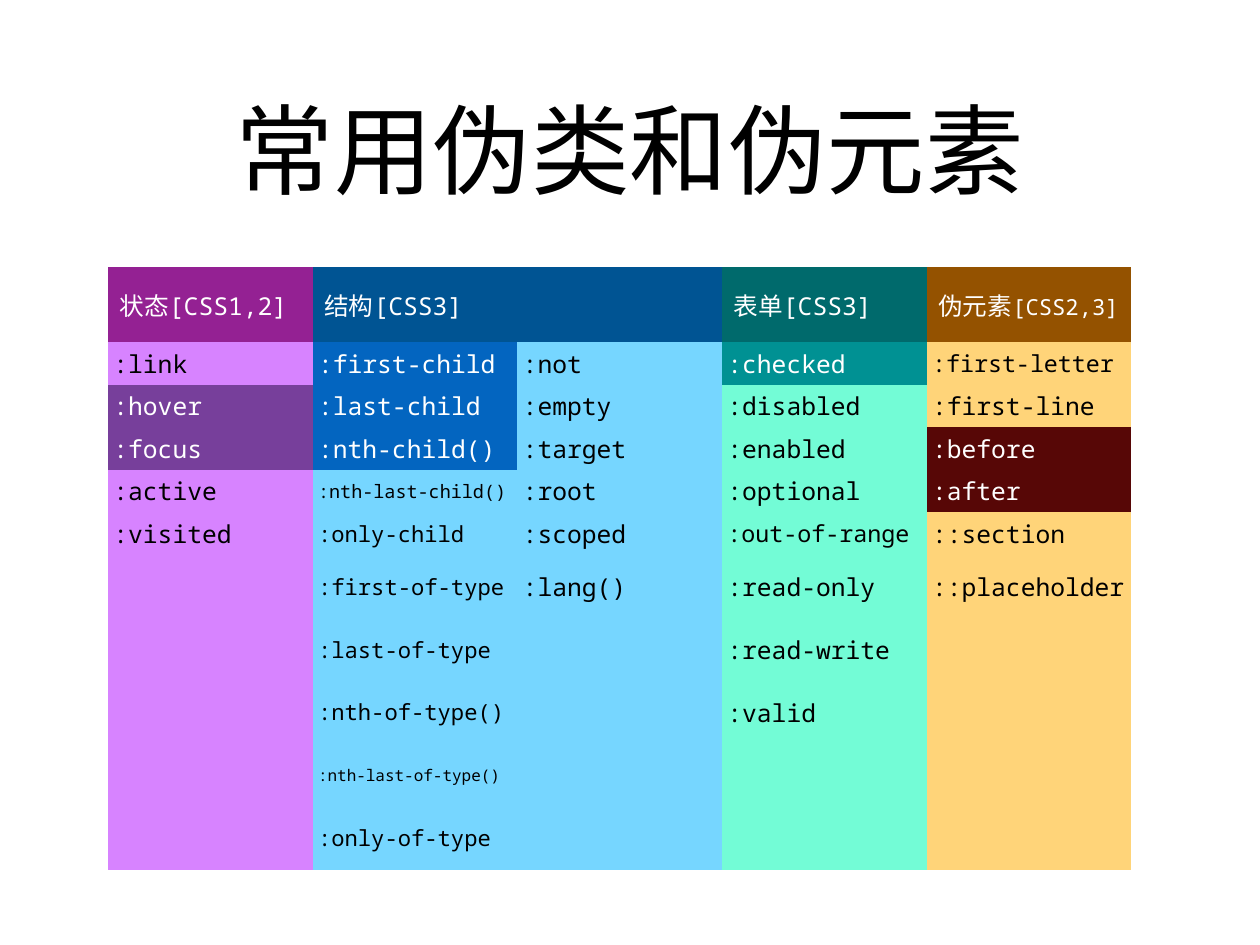
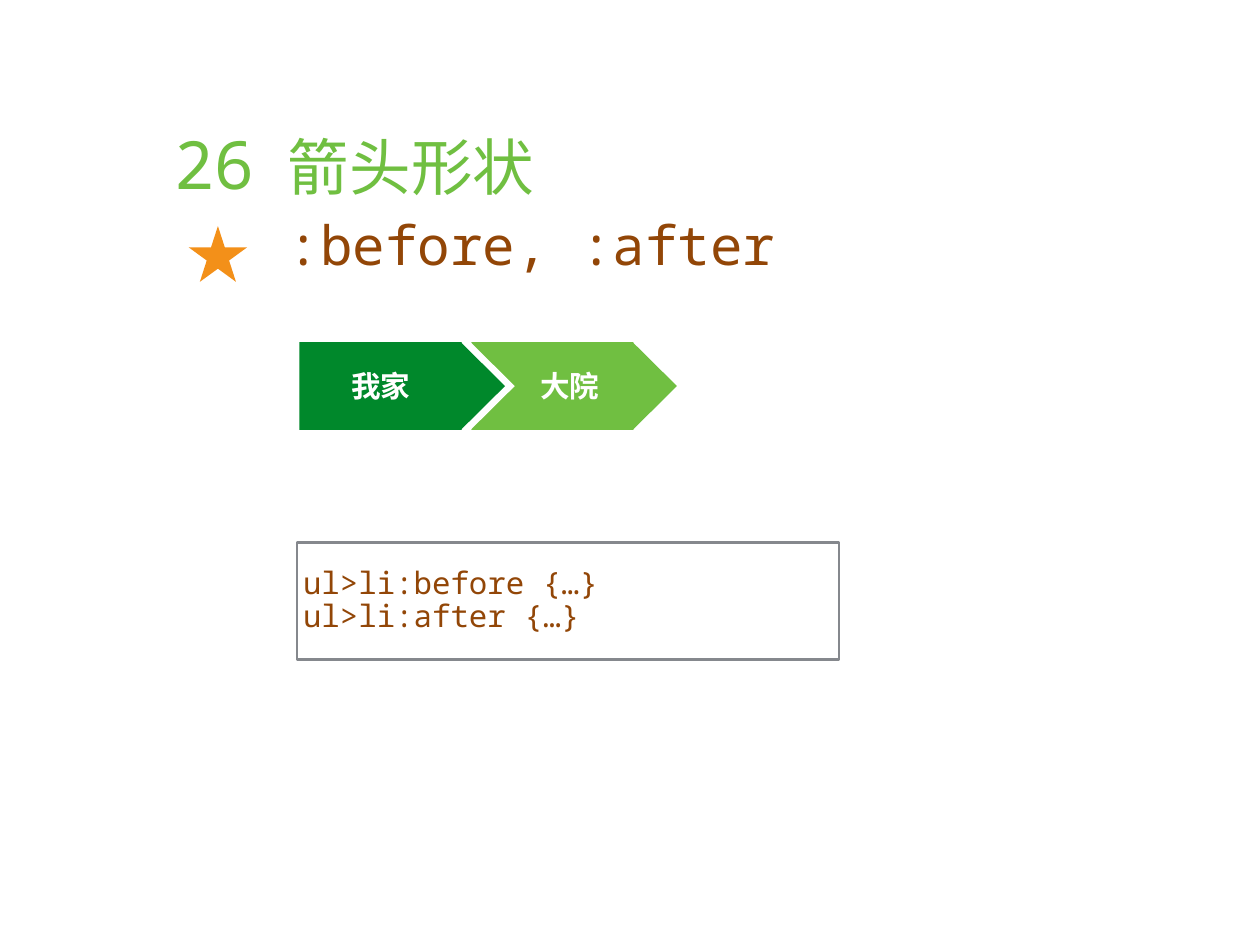
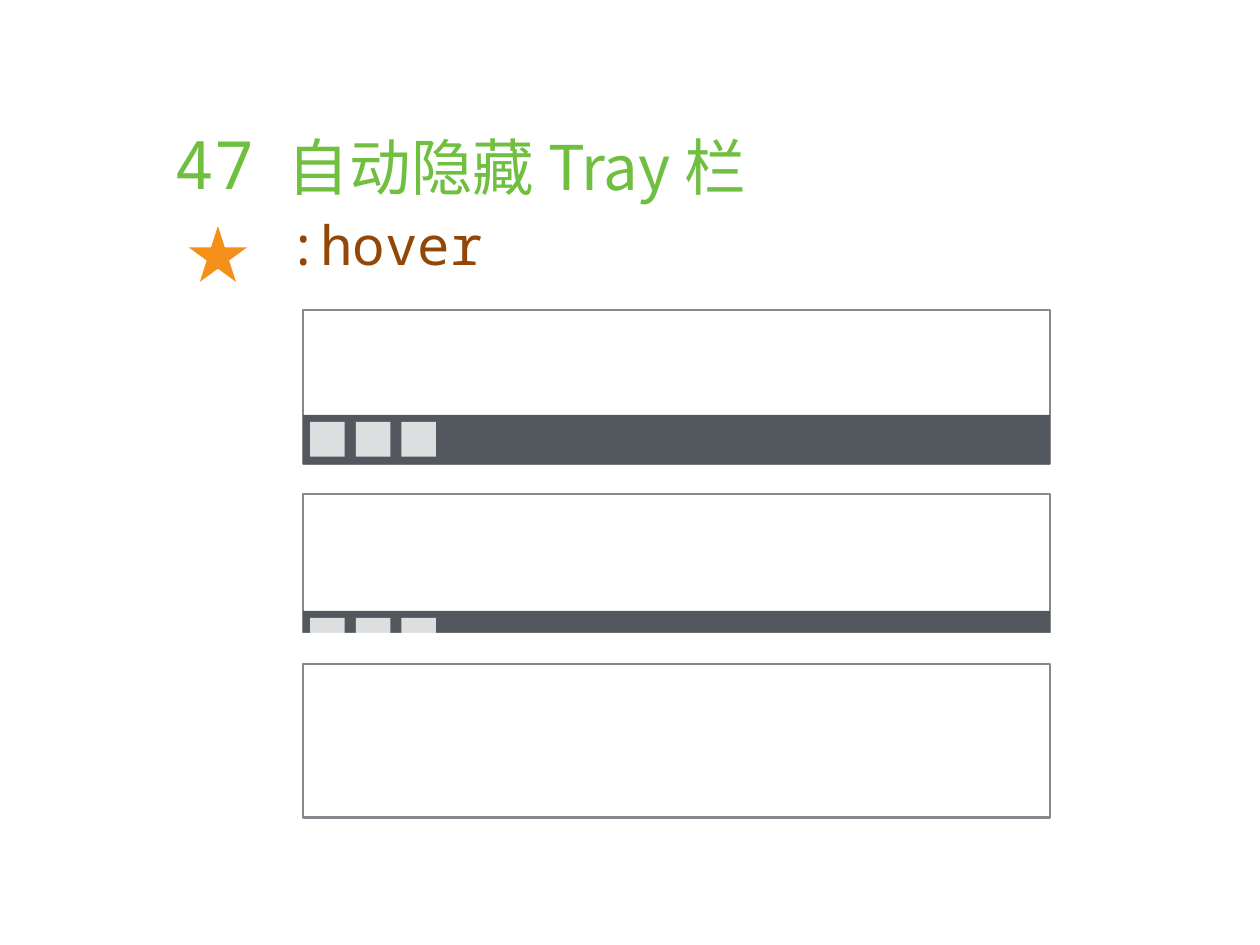
import dataclasses
import typing

import lxml.etree
import pptx
import pptx.dml.color
import pptx.enum.shapes
import pptx.enum.text
import pptx.oxml.ns
import pptx.util

Inches = pptx.util.Inches
Pt = pptx.util.Pt
ShapeKind = pptx.enum.shapes.MSO_SHAPE
Align = pptx.enum.text.PP_ALIGN
Anchor = pptx.enum.text.MSO_ANCHOR

# Shared look
MONO = "Noto Sans Mono"
CJK = "Noto Sans CJK SC"
WHITE, BLACK = "FFFFFF", "000000"
GREEN, DARK_GREEN, BROWN, ORANGE = "70BF41", "00882B", "924607", "F39019"
FRAME_LINE, DOCK_FILL, ICON_FILL = "85888D", "53585F", "DCDEE0"
PLAIN_TABLE_STYLE = "{2D5ABB26-0587-4C30-8999-92F81FD0307C}"


@dataclasses.dataclass
class Span:
    text: str
    size: float
    color: str
    font: str = MONO
    bold: bool = False


@dataclasses.dataclass
class Place:
    left: float
    top: float
    width: float
    height: float

    def lengths(self) -> list:
        return [Inches(value) for value in dataclasses.astuple(self)]


@dataclasses.dataclass
class Column:
    header: list[Span]
    header_fill: str
    body_fill: str
    selectors: list[str]
    strong_fill: str = ""
    strong: tuple[str, ...] = ()


@dataclasses.dataclass
class Step:
    left: float
    label: str
    fill: str
    left_inset: float


# Helpers
def rgb(color: str) -> pptx.dml.color.RGBColor:
    return pptx.dml.color.RGBColor.from_string(color)


def set_values(target: typing.Any, values: dict[str, typing.Any]) -> None:
    for name, value in values.items():
        setattr(target, name, value)


def margins(side: float, vertical: float) -> dict[str, typing.Any]:
    return {"margin_left": Inches(side), "margin_right": Inches(side),
            "margin_top": Inches(vertical), "margin_bottom": Inches(vertical)}


def write(frame: typing.Any, paragraphs: list[list[Span]],
          align: Align = Align.LEFT, spacing: float = 1.0) -> None:
    for index, spans in enumerate(paragraphs):
        para = frame.add_paragraph() if index else frame.paragraphs[0]
        set_values(para, {"alignment": align, "line_spacing": spacing})
        for span in spans:
            run = para.add_run()
            run.text = span.text
            set_values(run.font, {"name": span.font, "size": Pt(span.size), "bold": span.bold})
            run.font.color.rgb = rgb(span.color)
            # East Asian glyphs take their own typeface
            east_asian = lxml.etree.SubElement(
                run.font._element, pptx.oxml.ns.qn("a:ea"))
            east_asian.set("typeface", CJK)


def paint(shape: typing.Any, fill: str = "", line: str = "") -> None:
    shape.shadow.inherit = False
    if fill:
        shape.fill.solid()
        shape.fill.fore_color.rgb = rgb(fill)
    else:
        shape.fill.background()
    if line:
        shape.line.color.rgb = rgb(line)
        shape.line.width = Pt(2)
    else:
        shape.line.fill.background()


def add_box(page: typing.Any, place: Place, fill: str = "", line: str = "",
            kind: ShapeKind = ShapeKind.RECTANGLE) -> typing.Any:
    box = page.shapes.add_shape(kind, *place.lengths())
    paint(box, fill, line)
    return box


def add_plain_table(page: typing.Any, place: Place, widths: list[float],
                    heights: list[float]) -> typing.Any:
    frame = page.shapes.add_table(len(heights), len(widths), *place.lengths())
    table = frame.table
    set_values(table, {"first_row": False, "horz_banding": False})
    style = frame._element.find(".//" + pptx.oxml.ns.qn("a:tableStyleId"))
    style.text = PLAIN_TABLE_STYLE
    for column, width in zip(table.columns, widths):
        column.width = Inches(width)
    for row, height in zip(table.rows, heights):
        row.height = Inches(height)
    return table


def fill_cell(cell: typing.Any, color: str) -> None:
    cell.fill.solid()
    cell.fill.fore_color.rgb = rgb(color)


# Slide 1: selector overview
def header(text: str, note: str = "") -> list[Span]:
    spans = [Span(text, 20, WHITE)]
    if note:
        spans.append(Span(note, 18, WHITE))
    return spans


SKY = "76D6FF"
COLUMNS = [
    Column(header("状态[CSS1,2]"), "942193", "D783FF",
           [":link", ":hover", ":focus", ":active", ":visited"],
           "773F9B", (":hover", ":focus")),
    Column(header("结构[CSS3]"), "005493", SKY,
           [":first-child", ":last-child", ":nth-child()", ":nth-last-child()",
            ":only-child", ":first-of-type", ":last-of-type", ":nth-of-type()",
            ":nth-last-of-type()", ":only-of-type"],
           "0365C0", (":first-child", ":last-child", ":nth-child()")),
    Column([], "005493", SKY,
           [":not", ":empty", ":target", ":root", ":scoped", ":lang()"]),
    Column(header("表单[CSS3]"), "006A6C", "73FCD6",
           [":checked", ":disabled", ":enabled", ":optional", ":out-of-range",
            ":read-only", ":read-write", ":valid"],
           "009193", (":checked",)),
    Column(header("伪元素", "[CSS2,3]"), "945200", "FFD479",
           [":first-letter", ":first-line", ":before", ":after", "::section",
            "::placeholder"],
           "570706", (":before", ":after")),
]
SMALLER_SIZES = {
    ":first-letter": 19, ":out-of-range": 19, ":only-child": 18,
    ":first-of-type": 18, ":last-of-type": 18, ":nth-of-type()": 18,
    ":only-of-type": 18, ":nth-last-child()": 15, ":nth-last-of-type()": 13,
}
ROW_HEIGHTS = [0.85] + [0.44] * 5 + [0.71] * 5


def build_overview(deck: typing.Any) -> None:
    page = deck.slides.add_slide(deck.slide_layouts[5])
    title = page.shapes.title
    left, top, width, height = Place(1.04, 0.49, 12.14, 2.36).lengths()
    set_values(title, {"left": left, "top": top, "width": width, "height": height})
    set_values(title.text_frame, {
        **margins(0.06, 0.06), "word_wrap": True, "vertical_anchor": Anchor.MIDDLE,
        "auto_size": pptx.enum.text.MSO_AUTO_SIZE.NONE})
    write(title.text_frame, [[Span("常用伪类和伪元素", 80, BLACK, CJK)]], Align.CENTER)

    table = add_plain_table(page, Place(1.22, 3.01, 11.57, 6.55),
                            [2.31] * len(COLUMNS), ROW_HEIGHTS)
    for column_index, column in enumerate(COLUMNS):
        head = table.cell(0, column_index)
        fill_cell(head, column.header_fill)
        if column.header:
            set_values(head, {**margins(0.13, 0.05), "vertical_anchor": Anchor.MIDDLE})
            write(head.text_frame, [column.header])
        for row_index in range(1, len(ROW_HEIGHTS)):
            cell = table.cell(row_index, column_index)
            selector = "".join(column.selectors[row_index - 1:row_index])
            strong = selector in column.strong
            fill_cell(cell, column.strong_fill if strong else column.body_fill)
            if selector:
                set_values(cell, {**margins(0.06, 0.05), "vertical_anchor": Anchor.MIDDLE})
                size = SMALLER_SIZES.get(selector, 20)
                write(cell.text_frame, [[Span(selector, size, WHITE if strong else BLACK)]])
    # The structure heading spans two columns
    table.cell(0, 1).merge(table.cell(0, 2))


# Slides 2 and 3: numbered examples
def add_example_page(deck: typing.Any, number: str, heading: str, selectors: str) -> typing.Any:
    page = deck.slides.add_slide(deck.slide_layouts[6])
    table = add_plain_table(page, Place(1.29, 1.29, 11.65, 8.08), [1.77, 9.88], [8.08])
    number_cell, heading_cell = table.cell(0, 0), table.cell(0, 1)
    for cell in (number_cell, heading_cell):
        set_values(cell, margins(0.19, 0.05))
    write(number_cell.text_frame, [[Span(number, 54, GREEN)]], Align.RIGHT)
    write(heading_cell.text_frame, [[Span(heading, 50, GREEN, CJK)],
                                    [Span(selectors, 44, BROWN)]])
    add_box(page, Place(2.13, 2.55, 0.66, 0.63), ORANGE, kind=ShapeKind.STAR_5_POINT)
    return page


# Slide 2: arrow steps
STEP_TOP, STEP_WIDTH, STEP_HEIGHT = 3.86, 1.83, 0.99
TIP_OFFSET, TIP_DEPTH, GAP = 1.82, 0.5, 0.11


def add_tip(page: typing.Any, left: float, fill: str) -> None:
    builder = page.shapes.build_freeform(Inches(left), Inches(STEP_TOP))
    builder.add_line_segments([
        (Inches(left + TIP_DEPTH), Inches(STEP_TOP + STEP_HEIGHT / 2)),
        (Inches(left), Inches(STEP_TOP + STEP_HEIGHT))], close=True)
    paint(builder.convert_to_shape(), fill)


def add_step(page: typing.Any, step: Step) -> None:
    box = add_box(page, Place(step.left, STEP_TOP, STEP_WIDTH, STEP_HEIGHT), step.fill)
    set_values(box.text_frame, {
        **margins(0.06, 0.06), "margin_left": Inches(step.left_inset),
        "word_wrap": True, "vertical_anchor": Anchor.MIDDLE})
    write(box.text_frame, [[Span(step.label, 24, WHITE, "Arial", True)]], Align.CENTER)
    add_tip(page, step.left + TIP_OFFSET, step.fill)


def build_arrows(deck: typing.Any) -> None:
    page = add_example_page(deck, "26", "箭头形状", ":before, :after")
    first = Step(3.38, "我家", DARK_GREEN, 0.06)
    second = Step(5.32, "大院", GREEN, 0.45)
    add_step(page, second)
    add_tip(page, first.left + TIP_OFFSET + GAP, WHITE)
    add_step(page, first)

    code = add_box(page, Place(3.35, 6.12, 6.12, 1.32), line=FRAME_LINE)
    set_values(code.text_frame, {**margins(0.07, 0.07), "word_wrap": True,
                                 "vertical_anchor": Anchor.MIDDLE})
    lines = ["ul>li:before {…}", "ul>li:after {…}"]
    write(code.text_frame, [[Span(line, 25, BROWN)] for line in lines], spacing=0.9)


# Slide 3: dock shown, half hidden and hidden
SCREEN_LEFT, SCREEN_WIDTH, SCREEN_HEIGHT = 3.42, 8.43, 1.73
ICON_SIZE, ICON_PITCH, ICON_INSET = 0.39, 0.515, 0.08


def add_screen(page: typing.Any, top: float) -> None:
    add_box(page, Place(SCREEN_LEFT, top, SCREEN_WIDTH, SCREEN_HEIGHT), line=FRAME_LINE)


def add_dock(page: typing.Any, top: float) -> None:
    add_box(page, Place(SCREEN_LEFT, top, SCREEN_WIDTH, 0.56), DOCK_FILL)
    for index in range(3):
        left = SCREEN_LEFT + ICON_INSET + index * ICON_PITCH
        add_box(page, Place(left, top + ICON_INSET, ICON_SIZE, ICON_SIZE), ICON_FILL)


def build_dock(deck: typing.Any) -> None:
    page = add_example_page(deck, "47", "自动隐藏 Tray 栏", ":hover")
    for screen_top, dock_top in ((3.5, 4.68), (5.57, 6.89)):
        add_screen(page, screen_top)
        add_dock(page, dock_top)
    # White strip cuts the sliding dock at the screen edge
    add_box(page, Place(3.25, 7.14, 8.76, 0.56), WHITE)
    add_screen(page, 7.49)


def main() -> None:
    deck = pptx.Presentation()
    set_values(deck, {"slide_width": Inches(14.22), "slide_height": Inches(10.66)})
    build_overview(deck)
    build_arrows(deck)
    build_dock(deck)
    deck.save("out.pptx")


if __name__ == "__main__":
    main()
